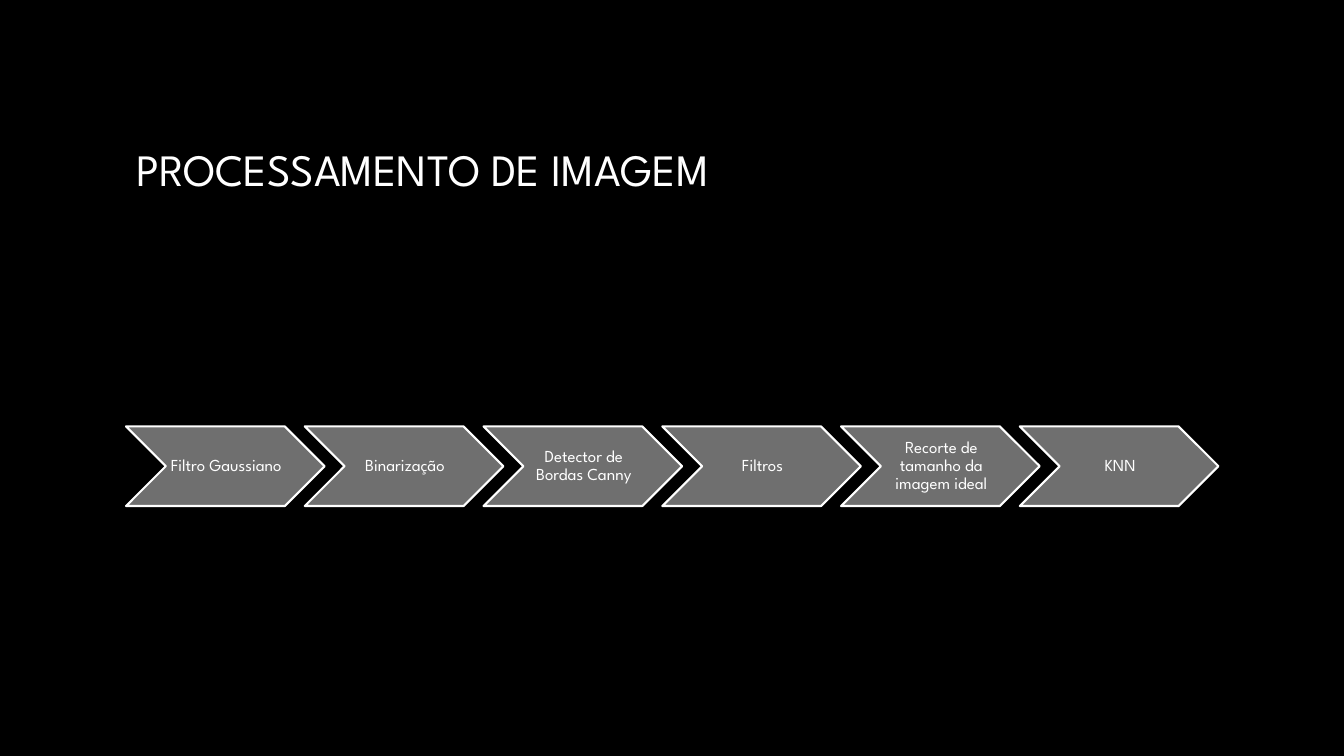
"""Build the image processing slide with its chain of six steps."""
from pptx import Presentation
from pptx.dml.color import RGBColor
from pptx.enum.shapes import MSO_SHAPE
from pptx.enum.text import MSO_ANCHOR, PP_ALIGN
from pptx.util import Inches, Pt

CHEVRON = MSO_SHAPE.CHEVRON
MIDDLE = MSO_ANCHOR.MIDDLE
LEFT, CENTER = PP_ALIGN.LEFT, PP_ALIGN.CENTER
FONT = "League Spartan"
COLORS = {"background": "000000", "text": "FFFFFF", "step": "6F6F6F", "outline": "FFFFFF"}
STEPS = [
    "Filtro Gaussiano",
    "Binarização",
    "Detector de Bordas Canny",
    "Filtros",
    "Recorte de tamanho da imagem ideal",
    "KNN",
]
MARGIN = 1.25
STEP_TOP, STEP_WIDTH, STEP_HEIGHT = 4.23, 1.97, 0.79
STEP_PITCH = 0.9 * STEP_WIDTH


def color(name):
    return RGBColor.from_string(COLORS[name])


def write(frame, text, size, alignment):
    frame.word_wrap = True
    frame.vertical_anchor = MIDDLE
    para = frame.paragraphs[0]
    para.alignment = alignment
    para.line_spacing = 0.9
    span = para.add_run()
    span.text = text
    span.font.name = FONT
    span.font.size = Pt(size)
    span.font.color.rgb = color("text")


deck = Presentation()
deck.slide_width, deck.slide_height = Inches(13.33), Inches(7.5)
page = deck.slides.add_slide(deck.slide_layouts[5])
page.background.fill.solid()
page.background.fill.fore_color.rgb = color("background")

title = page.shapes.title
title.left, title.top = Inches(MARGIN), Inches(0.67)
title.width, title.height = Inches(10.83), Inches(2.08)
write(title.text_frame, "PROCESSAMENTO DE IMAGEM", 32, LEFT)

for index, label in enumerate(STEPS):
    step = page.shapes.add_shape(
        CHEVRON, Inches(MARGIN + index * STEP_PITCH), Inches(STEP_TOP),
        Inches(STEP_WIDTH), Inches(STEP_HEIGHT))
    step.shadow.inherit = False
    step.fill.solid()
    step.fill.fore_color.rgb = color("step")
    step.line.color.rgb = color("outline")
    step.line.width = Pt(1.5)
    frame = step.text_frame
    frame.margin_left = Inches(0.04)
    frame.margin_top = frame.margin_right = frame.margin_bottom = Inches(0.02)
    write(frame, label, 12, CENTER)

deck.save("out.pptx")
